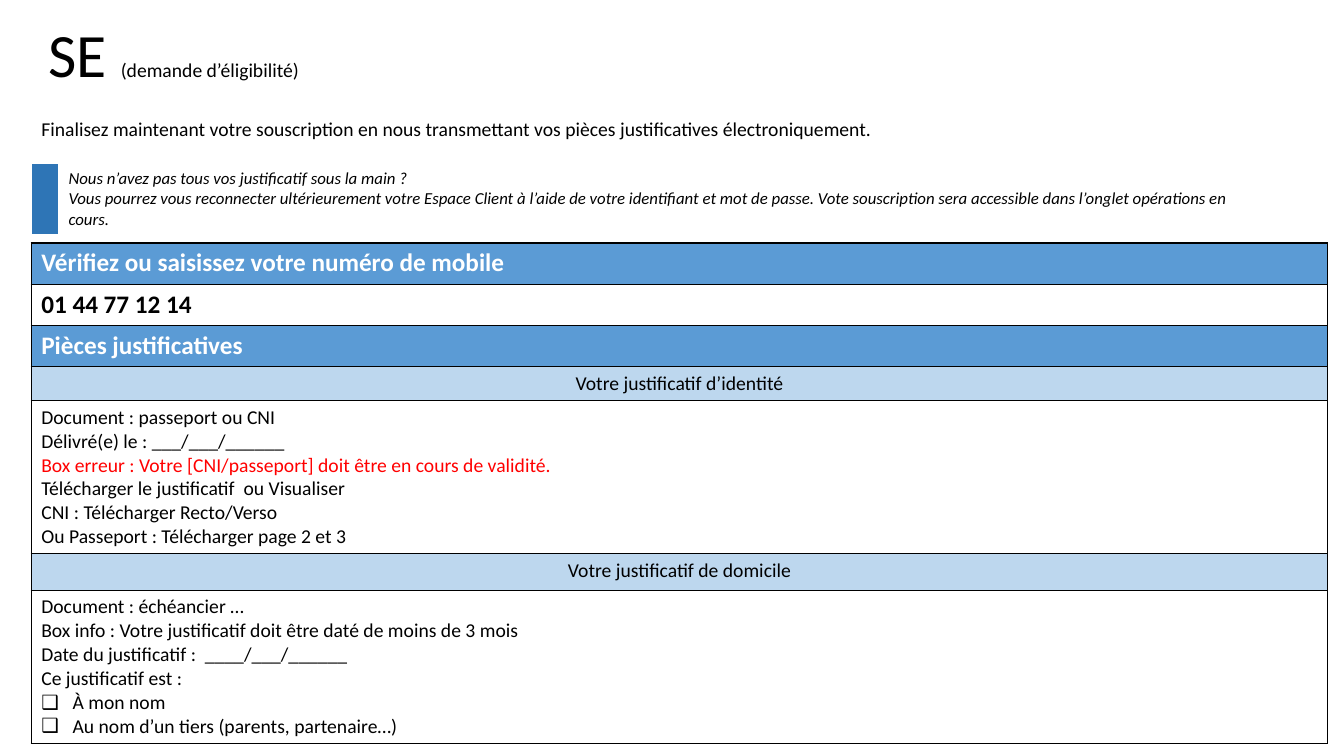
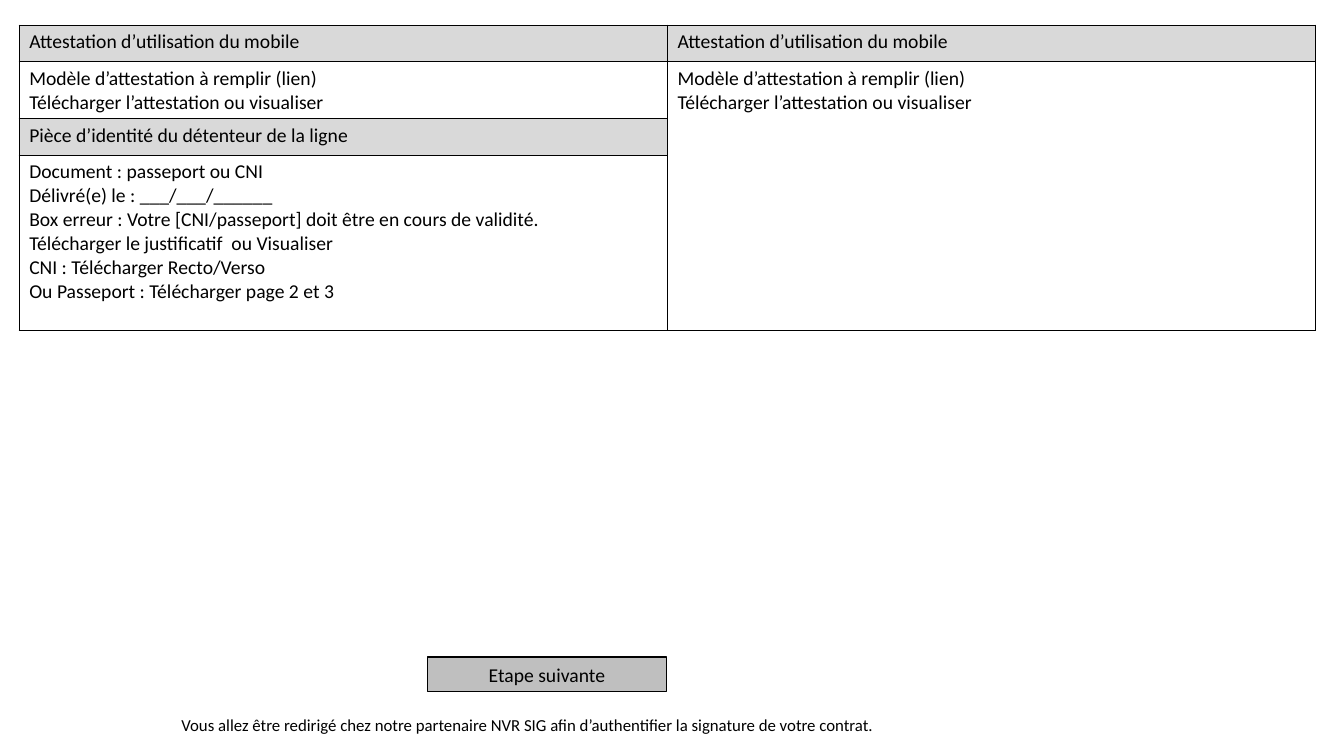
from dataclasses import dataclass

from lxml.etree import SubElement
from pptx import Presentation
from pptx.dml.color import RGBColor
from pptx.enum.shapes import MSO_SHAPE
from pptx.enum.text import MSO_ANCHOR, MSO_AUTO_SIZE, PP_ALIGN
from pptx.oxml.ns import qn
from pptx.util import Emu, Inches, Pt


@dataclass(frozen=True)
class Theme:
    font: str = "Calibri"
    black: str = "000000"
    white: str = "FFFFFF"
    red: str = "FF0000"
    blue: str = "5B9BD5"
    dark_blue: str = "2E75B6"
    pale_blue: str = "BDD7EE"
    light_grey: str = "D9D9D9"
    button_grey: str = "BFBFBF"
    title_size: int = 44
    heading_size: int = 18
    body_size: int = 14
    note_size: int = 12
    line_width: int = 1


THEME = Theme()


@dataclass(frozen=True)
class Line:
    text: str
    color: str = THEME.black
    size: int = THEME.body_size
    bold: bool = False
    italic: bool = False
    align: PP_ALIGN = PP_ALIGN.LEFT
    bullet: str = ""


@dataclass(frozen=True)
class Block:
    lines: tuple[Line, ...] = ()
    fill: str = ""
    span: tuple[int, int] = (1, 1)


@dataclass(frozen=True)
class Box:
    left: float
    top: float
    width: float
    height: float

    def lengths(self) -> tuple[Emu, ...]:
        return tuple(Inches(side) for side in (self.left, self.top, self.width, self.height))


def body(*texts: str) -> tuple[Line, ...]:
    return tuple(Line(text) for text in texts)


def heading(text: str, color: str, fill: str = "") -> Block:
    return Block((Line(text, color, THEME.heading_size, bold=True),), fill)


def band(text: str) -> Block:
    return Block((Line(text, align=PP_ALIGN.CENTER),), THEME.pale_blue)


def grey_band(text: str) -> Block:
    return Block(body(text), THEME.light_grey)


def identity_lines(error_color: str) -> tuple[Line, ...]:
    return (
        *body("Document : passeport ou CNI", "Délivré(e) le : ___/___/______"),
        Line("Box erreur : Votre [CNI/passeport] doit être en cours de validité.", error_color),
        *body(
            "Télécharger le justificatif  ou Visualiser",
            "CNI : Télécharger Recto/Verso",
            "Ou Passeport : Télécharger page 2 et 3",
        ),
    )


def style_font(font, size: int, color: str = THEME.black) -> None:
    font.name = THEME.font
    font.size = Pt(size)
    font.color.rgb = RGBColor.from_string(color)


def add_bullet(paragraph, character: str) -> None:
    properties = paragraph._p.get_or_add_pPr()
    properties.set("marL", str(Inches(0.31)))
    properties.set("indent", str(-Inches(0.31)))
    bullet_font = properties.makeelement(qn("a:buFont"), {"typeface": THEME.font})
    bullet_character = properties.makeelement(qn("a:buChar"), {"char": character})
    properties.insert(0, bullet_font)
    properties.insert(1, bullet_character)


def write_lines(text_frame, lines: tuple[Line, ...]) -> None:
    for index, line in enumerate(lines):
        paragraph = text_frame.add_paragraph() if index else text_frame.paragraphs[0]
        paragraph.text = line.text
        paragraph.alignment = line.align
        style_font(paragraph.font, line.size, line.color)
        paragraph.font.bold = line.bold
        paragraph.font.italic = line.italic
        if line.bullet:
            add_bullet(paragraph, line.bullet)


def add_borders(cell) -> None:
    properties = cell._tc.get_or_add_tcPr()
    for side in ("a:lnL", "a:lnR", "a:lnT", "a:lnB"):
        border = SubElement(properties, qn(side))
        border.set("w", str(Pt(THEME.line_width)))
        fill = SubElement(border, qn("a:solidFill"))
        SubElement(fill, qn("a:srgbClr")).set("val", THEME.black)


def paint(fill, color: str) -> None:
    if color:
        fill.solid()
        fill.fore_color.rgb = RGBColor.from_string(color)
    else:
        fill.background()


def add_grid(
    slide,
    left: float,
    top: float,
    widths: list[float],
    heights: list[float],
    blocks: list[list[Block]],
    bordered: bool = True,
) -> None:
    box = Box(left, top, sum(widths), sum(heights))
    table = slide.shapes.add_table(len(heights), len(widths), *box.lengths()).table
    table.first_row = False
    table.horz_banding = False
    for column, width in zip(table.columns, widths):
        column.width = Inches(width)
    for row, height in zip(table.rows, heights):
        row.height = Inches(height)
    for row_index, row_blocks in enumerate(blocks):
        for column_index, block in enumerate(row_blocks):
            cell = table.cell(row_index, column_index)
            if bordered:
                add_borders(cell)
            paint(cell.fill, block.fill)
            write_lines(cell.text_frame, block.lines)
            rows, columns = block.span
            if rows * columns > 1:
                cell.merge(table.cell(row_index + rows - 1, column_index + columns - 1))


def add_title(slide, box: Box, parts: tuple[tuple[str, int], ...]) -> None:
    title = slide.shapes.title
    title.left, title.top, title.width, title.height = box.lengths()
    title.text_frame.auto_size = MSO_AUTO_SIZE.NONE
    title.text_frame.vertical_anchor = MSO_ANCHOR.MIDDLE
    paragraph = title.text_frame.paragraphs[0]
    paragraph.alignment = PP_ALIGN.LEFT
    paragraph.line_spacing = 0.9
    for text, size in parts:
        run = paragraph.add_run()
        run.text = text
        style_font(run.font, size)


def add_button(slide, box: Box, text: str) -> None:
    button = slide.shapes.add_shape(MSO_SHAPE.RECTANGLE, *box.lengths())
    button.shadow.inherit = False
    paint(button.fill, THEME.button_grey)
    button.line.color.rgb = RGBColor.from_string(THEME.black)
    button.line.width = Pt(THEME.line_width)
    write_lines(button.text_frame, (Line(text, align=PP_ALIGN.CENTER),))


def add_note(slide, box: Box, text: str) -> None:
    note = slide.shapes.add_textbox(*box.lengths())
    note.text_frame.word_wrap = True
    write_lines(note.text_frame, (Line(text, size=THEME.note_size),))


def build_documents_slide(presentation) -> None:
    slide = presentation.slides.add_slide(presentation.slide_layouts[5])
    add_title(
        slide,
        Box(0.38, 0.15, 11.5, 0.84),
        (("SE ", THEME.title_size), ("(demande d’éligibilité)", THEME.body_size)),
    )
    introduction = body(
        "Finalisez maintenant votre souscription en nous transmettant vos pièces justificatives électroniquement."
    )
    reminder = tuple(
        Line(text, size=THEME.note_size, italic=True)
        for text in (
            "Nous n’avez pas tous vos justificatif sous la main ?",
            "Vous pourrez vous reconnecter ultérieurement votre Espace Client à l’aide de votre identifiant "
            "et mot de passe. Vote souscription sera accessible dans l’onglet opérations en cours.",
        )
    )
    add_grid(
        slide, 0.31, 1.12, [0.27, 11.72], [0.5, 0.71, 4.3],
        [
            [Block(introduction, span=(1, 2)), Block()],
            [Block(fill=THEME.dark_blue), Block(reminder)],
            [Block(span=(1, 2)), Block()],
        ],
        bordered=False,
    )
    address_lines = (
        *body(
            "Document : échéancier …",
            "Box info : Votre justificatif doit être daté de moins de 3 mois",
            "Date du justificatif :  ____/___/______",
            "Ce justificatif est :",
        ),
        Line("À mon nom", bullet="❑"),
        Line("Au nom d’un tiers (parents, partenaire…)", bullet="❑"),
    )
    sections = [
        heading("Vérifiez ou saisissez votre numéro de mobile", THEME.white, THEME.blue),
        heading("01 44 77 12 14", THEME.black),
        heading("Pièces justificatives", THEME.white, THEME.blue),
        band("Votre justificatif d’identité"),
        Block(identity_lines(THEME.red)),
        band("Votre justificatif de domicile"),
        Block(address_lines),
    ]
    add_grid(
        slide, 0.31, 2.41, [12.86], [0.41, 0.41, 0.4, 0.34, 1.52, 0.36, 1.51],
        [[section] for section in sections],
    )


def build_attestation_slide(presentation) -> None:
    slide = presentation.slides.add_slide(presentation.slide_layouts[6])
    add_button(slide, Box(4.24, 6.52, 2.37, 0.34), "Etape suivante")
    add_note(
        slide,
        Box(1.7, 7.04, 8.27, 0.3),
        "Vous allez être redirigé chez notre partenaire NVR SIG afin d’authentifier la signature de votre contrat.",
    )
    attestation_band = grey_band("Attestation d’utilisation du mobile")
    attestation = body("Modèle d’attestation à remplir (lien)", "Télécharger l’attestation ou visualiser")
    add_grid(
        slide, 0.19, 0.25, [6.43] * 2, [0.36, 0.57, 0.36, 1.74],
        [
            [attestation_band, attestation_band],
            [Block(attestation), Block(attestation, span=(3, 1))],
            [grey_band("Pièce d’identité du détenteur de la ligne"), Block()],
            [Block(identity_lines(THEME.black)), Block()],
        ],
    )


def main() -> None:
    presentation = Presentation()
    presentation.slide_width = Inches(13.33)
    presentation.slide_height = Inches(7.5)
    build_documents_slide(presentation)
    build_attestation_slide(presentation)
    presentation.save("out.pptx")


if __name__ == "__main__":
    main()
